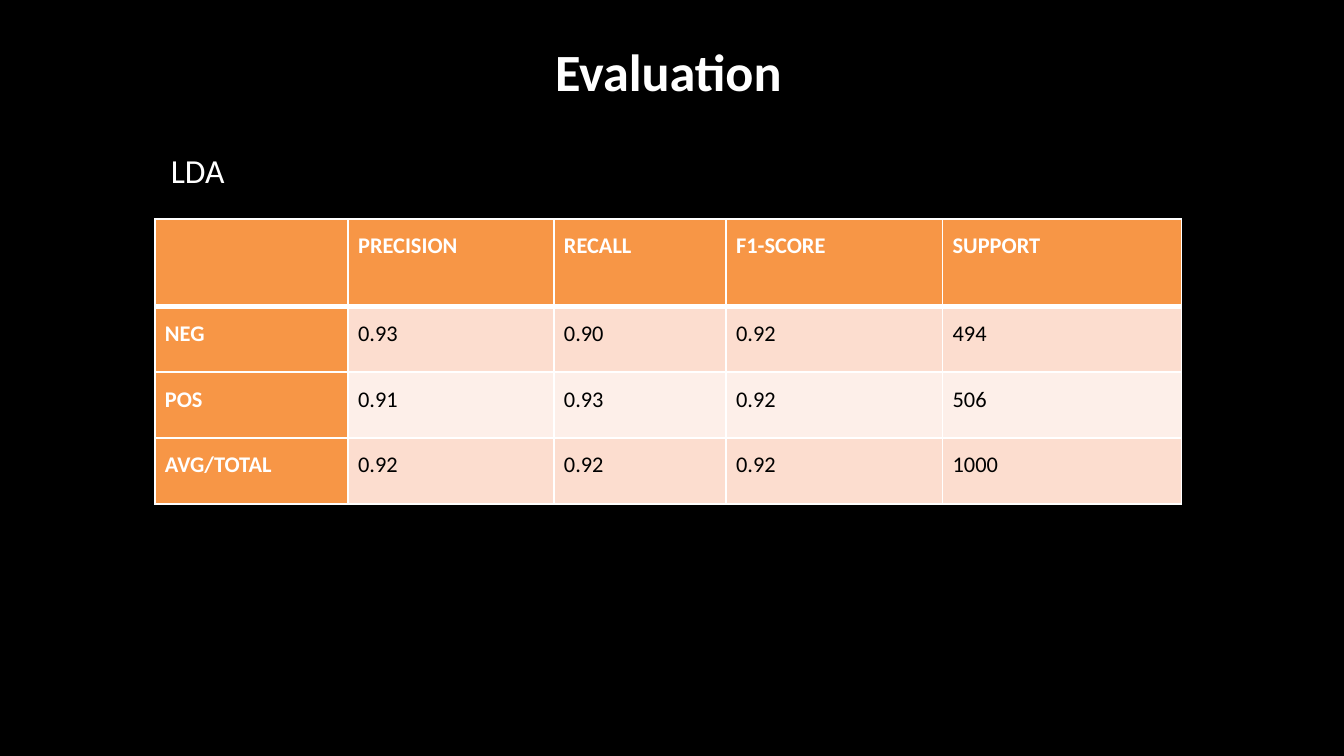
import pptx
import pptx.dml.color
import pptx.enum.text
import pptx.oxml
import pptx.oxml.ns
import pptx.util

Pt = pptx.util.Pt
RGBColor = pptx.dml.color.RGBColor
PP_ALIGN = pptx.enum.text.PP_ALIGN

BLACK = RGBColor(0x00, 0x00, 0x00)
WHITE = RGBColor(0xFF, 0xFF, 0xFF)
ORANGE = RGBColor(0xF7, 0x96, 0x46)
PEACH = RGBColor(0xFC, 0xDD, 0xCF)
PALE_PEACH = RGBColor(0xFD, 0xEF, 0xE9)
FONT = "Calibri"

SCORES = [
    ["", "PRECISION", "RECALL", "F1-SCORE", "SUPPORT"],
    ["NEG", "0.93", "0.90", "0.92", "494"],
    ["POS", "0.91", "0.93", "0.92", "506"],
    ["AVG/TOTAL", "0.92", "0.92", "0.92", "1000"],
]
COLUMN_WIDTHS = [103.5, 110.25, 92.25, 116, 128]
ROW_HEIGHTS = [46.8, 35.3, 35.3, 35.3]


def add_span(para, text, size, color, bold=False):
    span = para.add_run()
    span.text = text
    span.font.name = FONT
    span.font.size = Pt(size)
    span.font.bold = bold
    span.font.color.rgb = color


def place(box, left, top, width, height):
    box.left, box.top = Pt(left), Pt(top)
    box.width, box.height = Pt(width), Pt(height)


def fill_title(title, left, top, width, height):
    place(title, left, top, width, height)
    frame = title.text_frame
    frame.margin_left = frame.margin_right = 0
    frame.margin_top = frame.margin_bottom = 0
    frame.vertical_anchor = pptx.enum.text.MSO_ANCHOR.TOP
    para = frame.paragraphs[0]
    para.alignment = PP_ALIGN.CENTER
    add_span(para, "Evaluation", 28, WHITE, bold=True)


def add_model_label(page, left, top, width, height):
    box = page.shapes.add_textbox(Pt(left), Pt(top), Pt(width), Pt(height))
    box.text_frame.word_wrap = True
    add_span(box.text_frame.paragraphs[0], "LDA", 18, WHITE)


def set_borders(cell, top, bottom):
    """Draw white cell borders; top and bottom are widths in points."""
    properties = cell._tc.get_or_add_tcPr()
    for side, width in (("L", 1), ("R", 1), ("T", top), ("B", bottom)):
        properties.append(pptx.oxml.parse_xml(
            f'<a:ln{side} {pptx.oxml.ns.nsdecls("a")} w="{Pt(width)}">'
            f'<a:solidFill><a:srgbClr val="{WHITE}"/></a:solidFill>'
            f'</a:ln{side}>'))


def format_cell(cell, text, row, column):
    is_heading = row == 0 or column == 0
    set_borders(cell, top=3 if row == 1 else 1, bottom=3 if row == 0 else 1)
    cell.fill.solid()
    band = PEACH if row % 2 else PALE_PEACH
    cell.fill.fore_color.rgb = ORANGE if is_heading else band
    cell.margin_left = cell.margin_right = Pt(5.4)
    cell.margin_top = cell.margin_bottom = 0
    if text:
        para = cell.text_frame.paragraphs[0]
        para.alignment = PP_ALIGN.JUSTIFY
        para.line_spacing = 1.5
        add_span(para, text, 12, WHITE if is_heading else BLACK, is_heading)


def add_score_table(page, left, top):
    table = page.shapes.add_table(
        len(SCORES), len(SCORES[0]), Pt(left), Pt(top),
        Pt(sum(COLUMN_WIDTHS)), Pt(sum(ROW_HEIGHTS))).table
    table.first_col = True
    for column, width in zip(table.columns, COLUMN_WIDTHS):
        column.width = Pt(width)
    for row, height in zip(table.rows, ROW_HEIGHTS):
        row.height = Pt(height)
    for row, texts in enumerate(SCORES):
        for column, text in enumerate(texts):
            format_cell(table.cell(row, column), text, row, column)


def main():
    deck = pptx.Presentation()
    deck.slide_width, deck.slide_height = Pt(720), Pt(405)
    page = deck.slides.add_slide(deck.slide_layouts[5])
    page.background.fill.solid()
    page.background.fill.fore_color.rgb = BLACK
    fill_title(page.shapes.title, 94.5, 21, 527, 34)
    add_score_table(page, 83, 117.3)
    add_model_label(page, 84.5, 76.5, 129.6, 29)
    deck.save("out.pptx")


if __name__ == "__main__":
    main()
